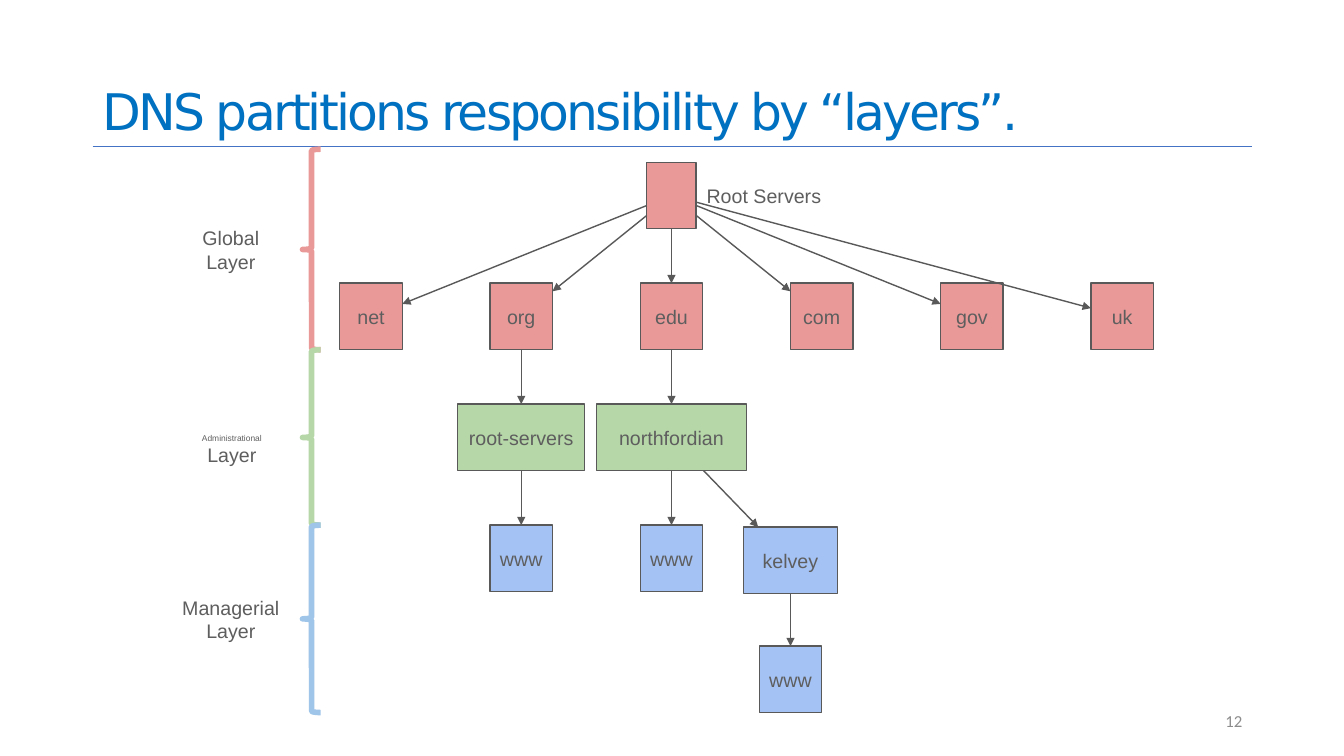
import pptx
import pptx.util
import pptx.dml.color
import pptx.enum.shapes
import pptx.enum.text
import pptx.oxml.ns
import lxml.etree

RGB = pptx.dml.color.RGBColor
SHAPE = pptx.enum.shapes.MSO_SHAPE
ALIGN = pptx.enum.text.PP_ALIGN
ANCHOR = pptx.enum.text.MSO_ANCHOR
qn = pptx.oxml.ns.qn

PX = 9144  # 100 px to the inch

RED = RGB(0xEA, 0x99, 0x99)
GREEN = RGB(0xB6, 0xD7, 0xA8)
BLUE = RGB(0xA4, 0xC2, 0xF4)
BRACE_BLUE = RGB(0x9F, 0xC5, 0xE8)
LINE = RGB(0x59, 0x59, 0x59)
TEXT = RGB(0x5E, 0x5E, 0x5E)
TITLE = RGB(0x00, 0x70, 0xC0)
RULE = RGB(0x44, 0x72, 0xC4)
NUMBER = RGB(0x8C, 0x8C, 0x8C)

NODE_W, NODE_H = 62, 66
TLD_Y, ADMIN_Y, HOST_Y, SUBHOST_Y = 281, 401, 521, 641
FIRST_X, STEP_X = 368, 149
TLDS = ["net", "org", "edu", "com", "gov", "uk"]


def emu(*lengths):
    return [pptx.util.Emu(round(length * PX)) for length in lengths]


def add_run(p, text, size, font="Arial", color=TEXT):
    r = p.add_run()
    r.text = text
    r.font.size = pptx.util.Pt(size)
    r.font.name = font
    r.font.color.rgb = color
    return r


def set_frame(tf, anchor, inset_x, inset_y, wrap):
    tf.word_wrap = wrap
    tf.vertical_anchor = anchor
    tf.margin_left, tf.margin_right = emu(inset_x, inset_x)
    tf.margin_top, tf.margin_bottom = emu(inset_y, inset_y)


def add_label(s, box, lines, align=ALIGN.CENTER):
    """Add a text box; lines holds (text, size) pairs, one paragraph each."""
    tf = s.shapes.add_textbox(*emu(*box)).text_frame
    set_frame(tf, ANCHOR.MIDDLE, 10, 10, True)
    for i, (text, size) in enumerate(lines):
        p = tf.add_paragraph() if i else tf.paragraphs[0]
        p.alignment = align
        add_run(p, text, size)


def add_title(s, text):
    tf = s.shapes.add_textbox(*emu(92, 0, 1150, 145)).text_frame
    set_frame(tf, ANCHOR.BOTTOM, 10, 5, True)
    p = tf.paragraphs[0]
    p.line_spacing = 0.9
    r = add_run(p, text, 36, "DejaVu Sans", TITLE)
    r._r.get_or_add_rPr().set("spc", "-200")


def add_page_number(s, text):
    tf = s.shapes.add_textbox(*emu(942, 695, 300, 40)).text_frame
    set_frame(tf, ANCHOR.MIDDLE, 10, 5, True)
    p = tf.paragraphs[0]
    p.alignment = ALIGN.RIGHT
    add_run(p, text, 12, "Calibri", NUMBER)


def add_node(s, text, cx, top, fill, width=NODE_W):
    """Add a tree box centred on cx."""
    sp = s.shapes.add_shape(
        SHAPE.RECTANGLE, *emu(cx - width / 2, top, width, NODE_H))
    sp.shadow.inherit = False
    sp.fill.solid()
    sp.fill.fore_color.rgb = fill
    sp.line.color.rgb = LINE
    sp.line.width = pptx.util.Pt(1)
    if text:
        set_frame(sp.text_frame, ANCHOR.MIDDLE, 10, 10, False)
        p = sp.text_frame.paragraphs[0]
        p.alignment = ALIGN.CENTER
        add_run(p, text, 14)
    return sp


def add_line(s, ends, color, width):
    line = s.shapes.add_connector(
        pptx.enum.shapes.MSO_CONNECTOR.STRAIGHT, *ends)
    line.line.color.rgb = color
    line.line.width = pptx.util.Pt(width)
    lxml.etree.SubElement(line._element.spPr, qn("a:effectLst"))
    return line


def edge_point(node, other):
    """Point where the line between two box centres leaves the first box."""
    cx, cy = node.left + node.width / 2, node.top + node.height / 2
    dx = other.left + other.width / 2 - cx
    dy = other.top + other.height / 2 - cy
    scale = 0.5 / max(abs(dx) / node.width, abs(dy) / node.height)
    return round(cx + dx * scale), round(cy + dy * scale)


def add_arrow(s, parent, child):
    ends = edge_point(parent, child) + edge_point(child, parent)
    arrow = add_line(s, ends, LINE, 1)
    ln = arrow.line._get_or_add_ln()
    lxml.etree.SubElement(ln, qn("a:tailEnd"), type="triangle")


def add_brace(s, top, bottom, color):
    sp = s.shapes.add_shape(
        SHAPE.LEFT_BRACE, *emu(300, top, 18, bottom - top))
    sp.shadow.inherit = False
    sp.fill.background()
    sp.line.color.rgb = color
    sp.line.width = pptx.util.Pt(4)


def add_tree(s):
    org_x, edu_x = FIRST_X + STEP_X, FIRST_X + 2 * STEP_X
    dept_x = 784
    root = add_node(s, "", edu_x, 161, RED, 49)
    tlds = {name: add_node(s, name, FIRST_X + i * STEP_X, TLD_Y, RED)
            for i, name in enumerate(TLDS)}
    servers = add_node(s, "root-servers", org_x, ADMIN_Y, GREEN, 126)
    school = add_node(s, "northfordian", edu_x, ADMIN_Y, GREEN, 149)
    servers_www = add_node(s, "www", org_x, HOST_Y, BLUE)
    school_www = add_node(s, "www", edu_x, HOST_Y, BLUE)
    dept = add_node(s, "kelvey", dept_x, HOST_Y + 2, BLUE, 93)
    dept_www = add_node(s, "www", dept_x, SUBHOST_Y, BLUE)

    links = [(root, tld) for tld in tlds.values()]
    links += [(tlds["org"], servers), (servers, servers_www),
              (tlds["edu"], school), (school, school_www),
              (school, dept), (dept, dept_www)]
    for parent, child in links:
        add_arrow(s, parent, child)


def main():
    prs = pptx.Presentation()
    prs.slide_width, prs.slide_height = emu(1333, 750)
    s = prs.slides.add_slide(prs.slide_layouts[6])

    add_line(s, emu(92, 145, 1242, 145), RULE, 0.5)
    add_title(s, "DNS partitions responsibility by “layers”.")
    add_page_number(s, "12")
    add_tree(s)
    add_label(s, (691, 172, 166, 44), [("Root Servers", 14)], ALIGN.LEFT)

    layers = [
        ("Global", 14, 148, 347, RED, (186, 214, 86, 67)),
        ("Administrational", 6, 347, 521, GREEN, (157, 419, 146, 54)),
        ("Managerial", 14, 521, 707, BRACE_BLUE, (156, 581, 146, 67)),
    ]
    for name, size, top, bottom, color, box in layers:
        add_brace(s, top, bottom, color)
        add_label(s, box, [(name, size), ("Layer", 14)])

    prs.save("out.pptx")


if __name__ == "__main__":
    main()
